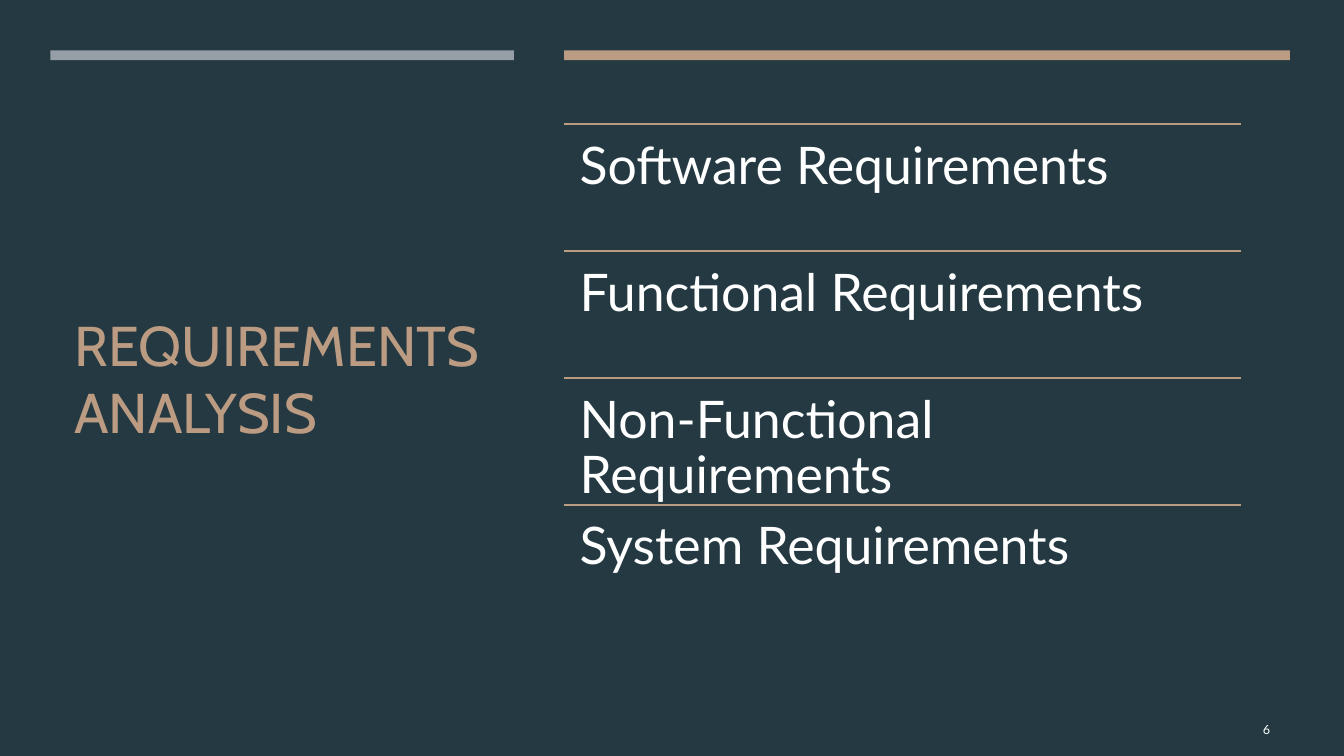
from pptx import Presentation
from pptx.dml.color import RGBColor
from pptx.enum.shapes import MSO_CONNECTOR, MSO_SHAPE
from pptx.enum.text import MSO_ANCHOR, PP_ALIGN
from pptx.oxml.ns import qn
from pptx.util import Cm, Pt
from lxml import etree

NAVY = RGBColor(0x24, 0x39, 0x41)
TAN = RGBColor(0xBB, 0x9B, 0x82)
GREY = RGBColor(0x96, 0x9F, 0xA7)
WHITE = RGBColor(0xFF, 0xFF, 0xFF)

REQUIREMENTS = [
    "Software Requirements",
    "Functional Requirements",
    "Non-Functional Requirements",
    "System\u00a0Requirements",
]
LIST_LEFT, LIST_TOP, LIST_WIDTH, ROW_HEIGHT = 14.22, 3.12, 17.06, 3.2


def add_bar(slide, left, width, color):
    sp = slide.shapes.add_shape(
        MSO_SHAPE.RECTANGLE, Cm(left), Cm(1.27), Cm(width), Cm(0.25))
    sp.shadow.inherit = False
    sp.fill.solid()
    sp.fill.fore_color.rgb = color
    sp.line.fill.background()


def add_rule(slide, left, top, width):
    line = slide.shapes.add_connector(
        MSO_CONNECTOR.STRAIGHT, Cm(left), Cm(top), Cm(left + width), Cm(top))
    line.line.color.rgb = TAN
    line.line.width = Pt(1.75)
    etree.SubElement(line._element.spPr, qn("a:effectLst"))


def add_text(slide, text, left, top, width, height, size, font, color,
             anchor=MSO_ANCHOR.MIDDLE):
    """Add a one-paragraph text box and return its text frame."""
    box = slide.shapes.add_textbox(Cm(left), Cm(top), Cm(width), Cm(height))
    tf = box.text_frame
    tf.word_wrap = True
    tf.vertical_anchor = anchor
    tf.text = text
    r = tf.paragraphs[0].runs[0]
    r.font.size = Pt(size)
    r.font.name = font
    r.font.color.rgb = color
    return tf


def add_requirement(slide, text, top):
    add_rule(slide, LIST_LEFT, top, LIST_WIDTH)
    tf = add_text(slide, text, LIST_LEFT, top, LIST_WIDTH, ROW_HEIGHT,
                  37, "Lato", WHITE, MSO_ANCHOR.TOP)
    tf.margin_left = tf.margin_right = Cm(0.39)
    tf.margin_top = tf.margin_bottom = Cm(0.39)
    tf.paragraphs[0].line_spacing = 0.9


def main():
    prs = Presentation()
    prs.slide_width, prs.slide_height = Cm(33.87), Cm(19.05)
    slide = prs.slides.add_slide(prs.slide_layouts[6])
    slide.background.fill.solid()
    slide.background.fill.fore_color.rgb = NAVY

    add_text(slide, "REQUIREMENTS ANALYSIS", 1.63, 3.12, 11.33, 12.8,
             40, "Cabin", TAN)
    add_bar(slide, 1.27, 11.68, GREY)
    add_bar(slide, LIST_LEFT, 18.29, TAN)
    for i, requirement in enumerate(REQUIREMENTS):
        add_requirement(slide, requirement, LIST_TOP + i * ROW_HEIGHT)

    tf = add_text(slide, "6", 29.34, 17.86, 2.92, 1.02, 9, "Lato", WHITE)
    tf.paragraphs[0].alignment = PP_ALIGN.RIGHT
    prs.save("out.pptx")


if __name__ == "__main__":
    main()
